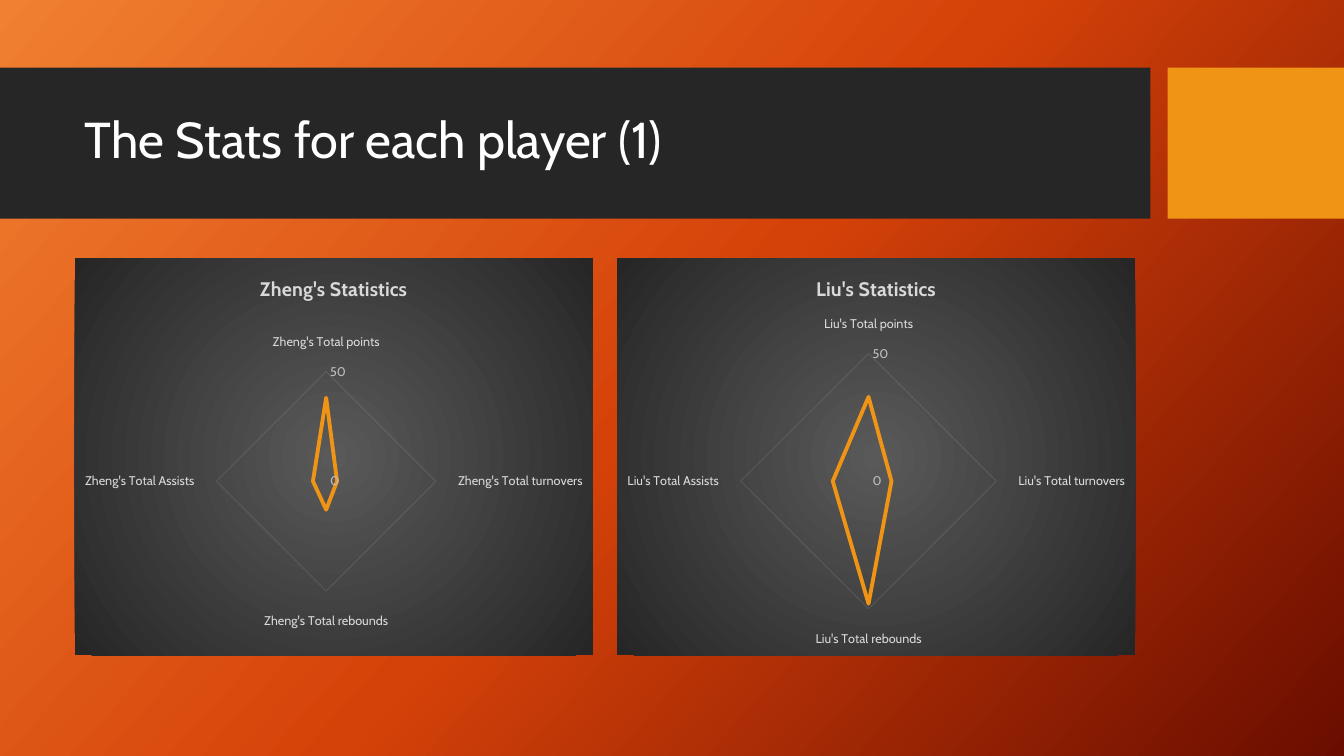
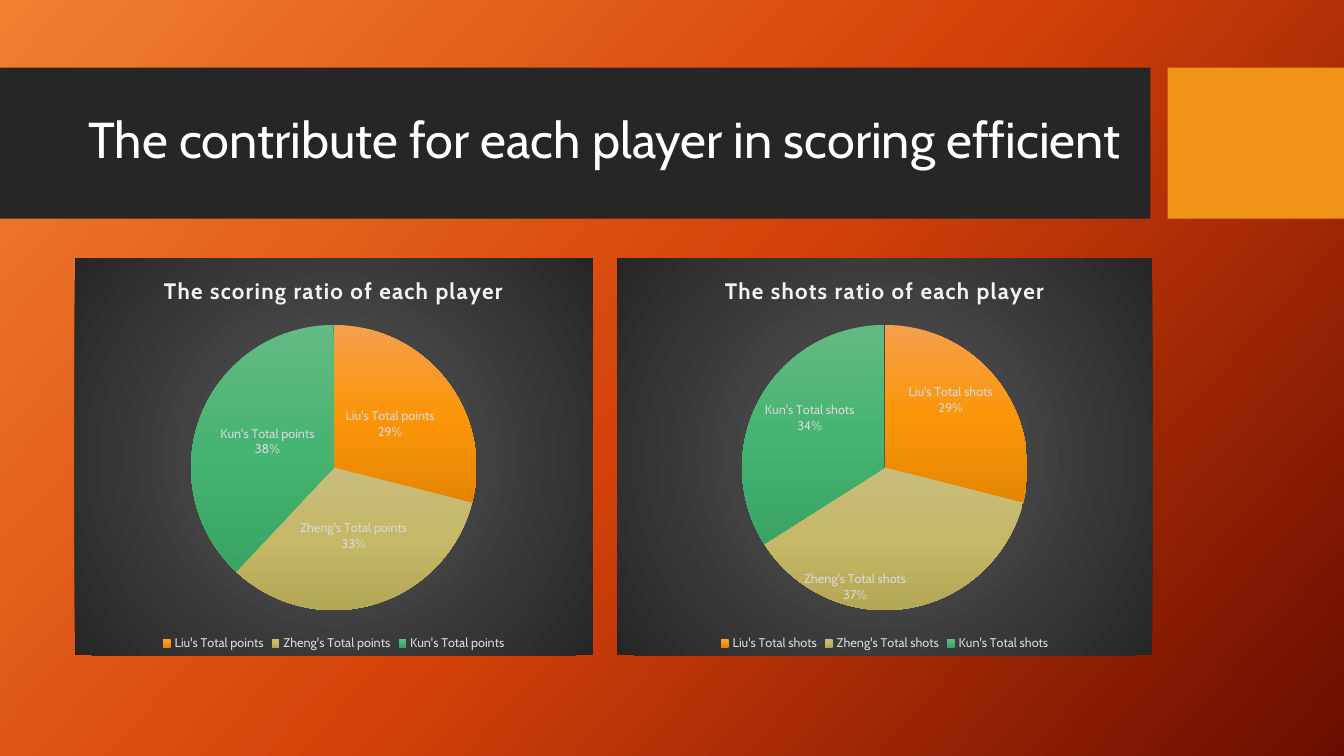
"""Build two slides of player statistics with radar and pie charts."""
from pptx import Presentation
from pptx.chart.data import CategoryChartData
from pptx.dml.color import RGBColor
from pptx.enum.chart import XL_CHART_TYPE, XL_LABEL_POSITION, XL_LEGEND_POSITION, XL_TICK_MARK
from pptx.enum.shapes import MSO_SHAPE
from pptx.enum.text import MSO_ANCHOR, PP_ALIGN
from pptx.oxml import parse_xml
from pptx.oxml.ns import nsdecls
from pptx.util import Inches, Pt

FONT = "Cabin"
WHITE = RGBColor(0xFF, 0xFF, 0xFF)
PALE = RGBColor(0xF2, 0xF2, 0xF2)
LIGHT = RGBColor(0xD9, 0xD9, 0xD9)
SILVER = RGBColor(0xBF, 0xBF, 0xBF)
GRAY = RGBColor(0x59, 0x59, 0x59)
CHARCOAL = RGBColor(0x26, 0x26, 0x26)
AMBER = RGBColor(0xF0, 0x94, 0x15)
BACKDROP = (RGBColor(0xF1, 0x80, 0x31), RGBColor(0xD5, 0x42, 0x09), RGBColor(0x6A, 0x0D, 0x00))
SLICES = (
    (RGBColor(0xF4, 0xA0, 0x4D), RGBColor(0xFB, 0x96, 0x0A), RGBColor(0xE5, 0x86, 0x03)),
    (RGBColor(0xC8, 0xBD, 0x7E), RGBColor(0xC5, 0xB8, 0x67), RGBColor(0xB4, 0xA7, 0x56)),
    (RGBColor(0x64, 0xBA, 0x83), RGBColor(0x46, 0xB4, 0x72), RGBColor(0x3A, 0xA4, 0x64)),
)
LEFT, RIGHT = 0.74, 6.12
CHART_TOP, CHART_WIDTH, CHART_HEIGHT = 2.56, 5.14, 3.94


def gradient(colors, angle=None):
    """Return an evenly spaced gradient, linear at the angle or else circular."""
    step = 100000 // (len(colors) - 1)
    stops = "".join(
        f'<a:gs pos="{index * step}"><a:srgbClr val="{color}"/></a:gs>'
        for index, color in enumerate(colors)
    )
    if angle is None:
        course = ('<a:path path="circle"><a:fillToRect l="50000" t="50000" '
                  'r="50000" b="50000"/></a:path>')
    else:
        course = f'<a:lin ang="{angle * 60000}" scaled="0"/>'
    return parse_xml(f'<a:gradFill {nsdecls("a")} rotWithShape="1">'
                     f'<a:gsLst>{stops}</a:gsLst>{course}</a:gradFill>')


def swap_fill(solid, colors, angle):
    """Put a linear gradient in the place of a solid fill."""
    solid.getparent().replace(solid, gradient(colors, angle))


def style_font(font, size, color, bold=False):
    """Apply the deck's typeface with a size and colour."""
    font.name = FONT
    font.size = Pt(size)
    font.bold = bold
    font.color.rgb = color


def style_line(line, width, color, opacity=100):
    """Give a line its width, colour and opacity in percent."""
    line.width = Pt(width)
    line.color.rgb = color
    if opacity < 100:
        tint = line.fill._xPr.xpath(".//a:srgbClr")[0]
        tint.append(parse_xml(f'<a:alpha {nsdecls("a")} val="{opacity * 1000}"/>'))


class StatsDeck:
    """Hold the presentation style and the current slide."""

    def __init__(self):
        """Start a widescreen deck."""
        self.deck = Presentation()
        self.deck.slide_width = Inches(13.33)
        self.deck.slide_height = Inches(7.5)
        self.page = None

    def add_page(self, title, alignment=PP_ALIGN.LEFT):
        """Add a slide with the shared backdrop, bands and title."""
        self.page = self.deck.slides.add_slide(self.deck.slide_layouts[6])
        self.page.background.fill.solid()
        swap_fill(self.page._element.xpath(".//p:bgPr/a:solidFill")[0], BACKDROP, 42)
        self.add_band(0, 11.41, CHARCOAL)
        self.add_band(11.58, 1.75, AMBER)
        self.add_title(title, alignment)

    def add_band(self, left, width, color):
        """Add one block of the title band."""
        band = self.page.shapes.add_shape(
            MSO_SHAPE.RECTANGLE, Inches(left), Inches(0.67), Inches(width), Inches(1.5))
        band.shadow.inherit = False
        band.fill.solid()
        band.fill.fore_color.rgb = color
        band.line.fill.background()

    def add_title(self, text, alignment):
        """Add the slide title."""
        box = self.page.shapes.add_textbox(
            Inches(LEFT), Inches(0.82), Inches(10.51), Inches(1.18))
        frame = box.text_frame
        frame.word_wrap = True
        frame.vertical_anchor = MSO_ANCHOR.MIDDLE
        frame.text = text
        para = frame.paragraphs[0]
        para.alignment = alignment
        para.line_spacing = 0.9
        style_font(para.runs[0].font, 36, WHITE)

    def add_chart(self, kind, left, width, title, categories, values):
        """Add a chart on a dark panel and return it with its title span."""
        data = CategoryChartData()
        data.categories = categories
        data.add_series("Series 1", values)
        chart = self.page.shapes.add_chart(
            kind, Inches(left), Inches(CHART_TOP), Inches(width),
            Inches(CHART_HEIGHT), data).chart
        style_font(chart.font, 10, WHITE)
        panel = parse_xml(f'<c:spPr {nsdecls("c", "a")}><a:ln><a:noFill/></a:ln></c:spPr>')
        panel.insert(0, gradient((GRAY, CHARCOAL)))
        chart._chartSpace.chart.addnext(panel)
        chart.has_title = True
        chart.chart_title.include_in_layout = False
        frame = chart.chart_title.text_frame
        frame.text = title
        return chart, frame.paragraphs[0].runs[0]

    def add_radar(self, left, player, values):
        """Add the radar chart of one player's totals."""
        categories = [f"{player}'s Total {measure}"
                      for measure in ("points", "turnovers", "rebounds", "Assists")]
        chart, span = self.add_chart(XL_CHART_TYPE.RADAR, left, CHART_WIDTH,
                                     f"{player}'s Statistics", categories, values)
        style_font(span.font, 14, LIGHT, bold=True)
        chart.has_legend = False
        plot = chart.plots[0]
        plot.vary_by_categories = False
        series = plot.series[0]
        series.smooth = False
        style_line(series.format.line, 2.75, AMBER)
        for axis, color in ((chart.category_axis, LIGHT), (chart.value_axis, SILVER)):
            axis.major_tick_mark = XL_TICK_MARK.NONE
            axis.minor_tick_mark = XL_TICK_MARK.NONE
            style_font(axis.tick_labels.font, 9, color)
        chart.category_axis.has_major_gridlines = False
        style_line(chart.category_axis.format.line, 1, PALE, 54)
        scale = chart.value_axis
        scale.minimum_scale = 0
        scale.maximum_scale = 50
        scale.major_unit = 50
        scale.format.line.fill.background()
        style_line(scale.major_gridlines.format.line, 0.75, PALE, 10)

    def add_pie(self, left, width, title, measure, values, position):
        """Add the pie chart of the players' shares in a measure."""
        categories = [f"{player}'s Total {measure}" for player in ("Liu", "Zheng", "Kun")]
        chart, span = self.add_chart(XL_CHART_TYPE.PIE, left, width, title,
                                     categories, values)
        style_font(span.font, 16, PALE, bold=True)
        span.font._element.set("spc", "100")
        chart.has_legend = True
        chart.legend.position = XL_LEGEND_POSITION.BOTTOM
        chart.legend.include_in_layout = False
        style_font(chart.legend.font, 9, LIGHT)
        plot = chart.plots[0]
        plot.vary_by_categories = True
        series = plot.series[0]
        for index, colors in enumerate(SLICES):
            look = series.points[index].format
            look.fill.solid()
            look.line.fill.background()
            swap_fill(look.fill._xPr.xpath("a:solidFill")[0], colors, 90)
        plot.has_data_labels = True
        labels = plot.data_labels
        labels.show_value = False
        labels.show_category_name = True
        labels.show_percentage = True
        labels.number_format = "0%"
        labels.number_format_is_linked = False
        labels.position = position
        style_font(labels.font, 9, LIGHT)
        labels._element.xpath("c:showBubbleSize")[0].addnext(
            parse_xml(f'<c:separator {nsdecls("c")}>\n</c:separator>'))


stats = StatsDeck()
stats.add_page("The Stats for each player (1)")
stats.add_radar(LEFT, "Zheng", (38, 5, 13, 6))
stats.add_radar(RIGHT, "Liu", (33, 9, 48, 14))

stats.add_page("The contribute for each player in scoring efficient", PP_ALIGN.CENTER)
stats.add_pie(LEFT, CHART_WIDTH, "The scoring ratio of each player", "points",
              (29, 33, 38), XL_LABEL_POSITION.CENTER)
stats.add_pie(RIGHT, 5.31, "The shots ratio of each player", "shots",
              (29, 37, 34), XL_LABEL_POSITION.INSIDE_END)
stats.deck.save("out.pptx")
